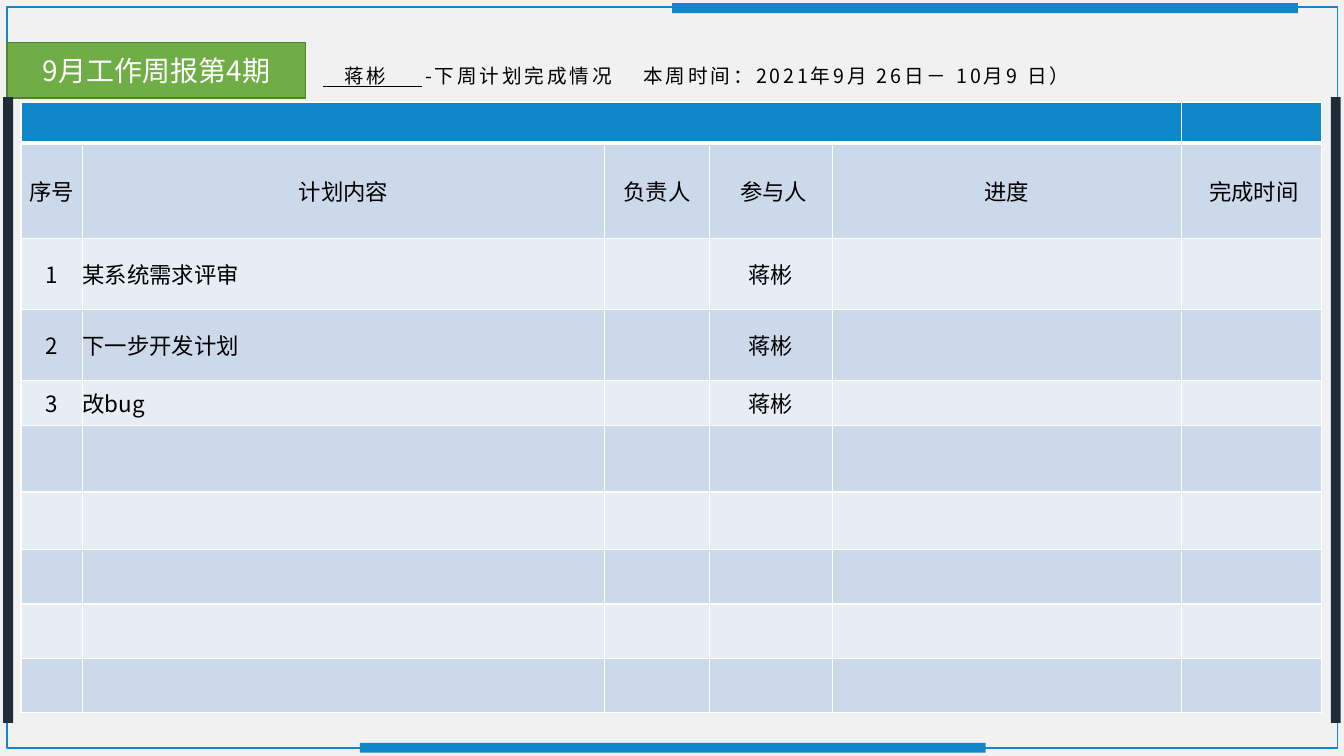
import lxml.etree
import pptx
import pptx.dml.color
import pptx.enum.shapes
import pptx.enum.text
import pptx.oxml.ns
import pptx.util

FONT = "Noto Sans CJK SC"
COLORS = {
    "background": "F1F1F2", "blue": "0F87C9", "navy": "202C38",
    "green": "70AD47", "green_line": "538035", "white": "FFFFFF",
    "black": "000000", "band_dark": "CCD9EB", "band_light": "E7EDF5",
}
TITLE = "9月工作周报第4期"
SUBTITLE_RUNS = [
    (" ", {}),
    ("   蒋彬     ", {"underline": True}),
    ("-下周计划完成情况    本周时间：2021年9月 26日－ 10月9 日） ", {}),
    (" ", {"size": 24}),
]
HEADINGS = ["序号", "计划内容", "负责人", " 参与人", "进度", " 完成时间"]
PLANS = [
    ("1", "某系统需求评审", "", "蒋彬", "", ""),
    ("2", "下一步开发计划", "", "蒋彬", "", ""),
    ("3", "改bug", "", "蒋彬", "", ""),
]
COLUMN_WIDTHS = [1.55, 13.16, 2.64, 3.1, 8.79, 3.53]
ROW_HEIGHTS = [1.04, 2.41, 1.78, 1.78, 1.14, 1.68, 1.45, 1.37, 1.37, 1.37]
BAR_LENGTH, BAR_THICKNESS = 15.77, 0.25
BARS = [
    (9.07, 18.72, True, "blue"),
    (16.94, 0.08, True, "blue"),
    (0.08, 2.45, False, "navy"),
    (33.54, 2.45, False, "navy"),
]
ALIGN = pptx.enum.text.PP_ALIGN
MIDDLE = pptx.enum.text.MSO_ANCHOR.MIDDLE
RECTANGLE = pptx.enum.shapes.MSO_SHAPE.RECTANGLE
ROUNDED = pptx.enum.shapes.MSO_SHAPE.ROUNDED_RECTANGLE


def rgb(name):
    return pptx.dml.color.RGBColor.from_string(COLORS[name])


def lengths(*values):
    return [pptx.util.Cm(value) for value in values]


def add_text(paragraph, text, size=16, color="black", align=ALIGN.LEFT,
             underline=False, spacing=0):
    paragraph.alignment = align
    run = paragraph.add_run()
    run.text = text
    run.font.size = pptx.util.Pt(size)
    run.font.name = FONT
    run.font.color.rgb = rgb(color)
    run.font.underline = underline
    properties = run.font._element
    properties.set("spc", str(spacing * 100))
    east_asian = lxml.etree.SubElement(properties, pptx.oxml.ns.qn("a:ea"))
    east_asian.set("typeface", FONT)


def clear_margins(target):
    target.margin_left = target.margin_right = 0
    target.margin_top = target.margin_bottom = 0


def paint(shape, fill=None, line=None):
    if fill:
        shape.fill.solid()
        shape.fill.fore_color.rgb = rgb(fill)
    else:
        shape.fill.background()
    if line:
        shape.line.color.rgb = rgb(line)
        shape.line.width = pptx.util.Pt(1)
    else:
        shape.line.fill.background()


def set_borders(cell, **widths):
    properties = cell._tc.get_or_add_tcPr()
    for side in "LRTB":
        border = lxml.etree.SubElement(properties, pptx.oxml.ns.qn("a:ln" + side))
        border.set("w", str(pptx.util.Pt(widths.get(side, 1))))
        solid = lxml.etree.SubElement(border, pptx.oxml.ns.qn("a:solidFill"))
        color = lxml.etree.SubElement(solid, pptx.oxml.ns.qn("a:srgbClr"))
        color.set("val", COLORS["white"])


def add_title(slide):
    title = slide.shapes.title
    title.left, title.top, title.width, title.height = lengths(0.18, 1.07, 7.52, 1.4)
    paint(title, "green", "green_line")
    frame = title.text_frame
    clear_margins(frame)
    frame.auto_size = pptx.enum.text.MSO_AUTO_SIZE.NONE
    frame.vertical_anchor = MIDDLE
    add_text(frame.paragraphs[0], TITLE, size=20, color="white", align=ALIGN.CENTER)


def add_outline(slide):
    outline = slide.shapes.add_shape(ROUNDED, *lengths(0.18, 0.18, 33.53, 18.67))
    outline.adjustments[0] = 0
    outline.shadow.inherit = False
    paint(outline, line="blue")
    slide.shapes.title.element.addprevious(outline.element)


def add_subtitle(slide):
    subtitle = slide.shapes.add_textbox(*lengths(7.7, 1.07, 23.37, 1.4))
    frame = subtitle.text_frame
    frame.word_wrap = True
    frame.vertical_anchor = MIDDLE
    for text, changes in SUBTITLE_RUNS:
        add_text(frame.paragraphs[0], text, **{"size": 14, "spacing": 2, **changes})


def add_bars(slide):
    for left, top, horizontal, color in BARS:
        size = (BAR_LENGTH, BAR_THICKNESS) if horizontal else (BAR_THICKNESS, BAR_LENGTH)
        bar = slide.shapes.add_shape(RECTANGLE, *lengths(left, top, *size))
        bar.shadow.inherit = False
        paint(bar, color)


def add_plan_table(slide):
    graphic = slide.shapes.add_table(
        len(ROW_HEIGHTS), len(COLUMN_WIDTHS),
        *lengths(0.53, 2.57, sum(COLUMN_WIDTHS), sum(ROW_HEIGHTS)))
    table = graphic.table
    for column, width in zip(table.columns, COLUMN_WIDTHS):
        column.width = pptx.util.Cm(width)
    for row, height in zip(table.rows, ROW_HEIGHTS):
        row.height = pptx.util.Cm(height)
    contents = dict(enumerate([HEADINGS, *PLANS], start=1))
    for row_index, row in enumerate(table.rows):
        texts = contents.get(row_index, [""] * len(COLUMN_WIDTHS))
        band = "band_dark" if row_index % 2 else "band_light"
        for column_index, (cell, text) in enumerate(zip(row.cells, texts)):
            clear_margins(cell)
            cell.vertical_anchor = MIDDLE
            set_borders(cell, T=3 if row_index == 1 else 1, B=3 if row_index == 0 else 1)
            cell.fill.solid()
            cell.fill.fore_color.rgb = rgb(band if row_index else "blue")
            if text:
                is_plan = column_index == 1 and row_index > 1
                add_text(cell.text_frame.paragraphs[0], text,
                         align=ALIGN.LEFT if is_plan else ALIGN.CENTER)
    table.cell(0, 0).merge(table.cell(0, 4))


def main():
    presentation = pptx.Presentation()
    presentation.slide_width, presentation.slide_height = lengths(33.87, 19.05)
    slide = presentation.slides.add_slide(presentation.slide_layouts[5])
    slide.background.fill.solid()
    slide.background.fill.fore_color.rgb = rgb("background")
    add_title(slide)
    add_outline(slide)
    add_subtitle(slide)
    add_bars(slide)
    add_plan_table(slide)
    presentation.save("out.pptx")


if __name__ == "__main__":
    main()
